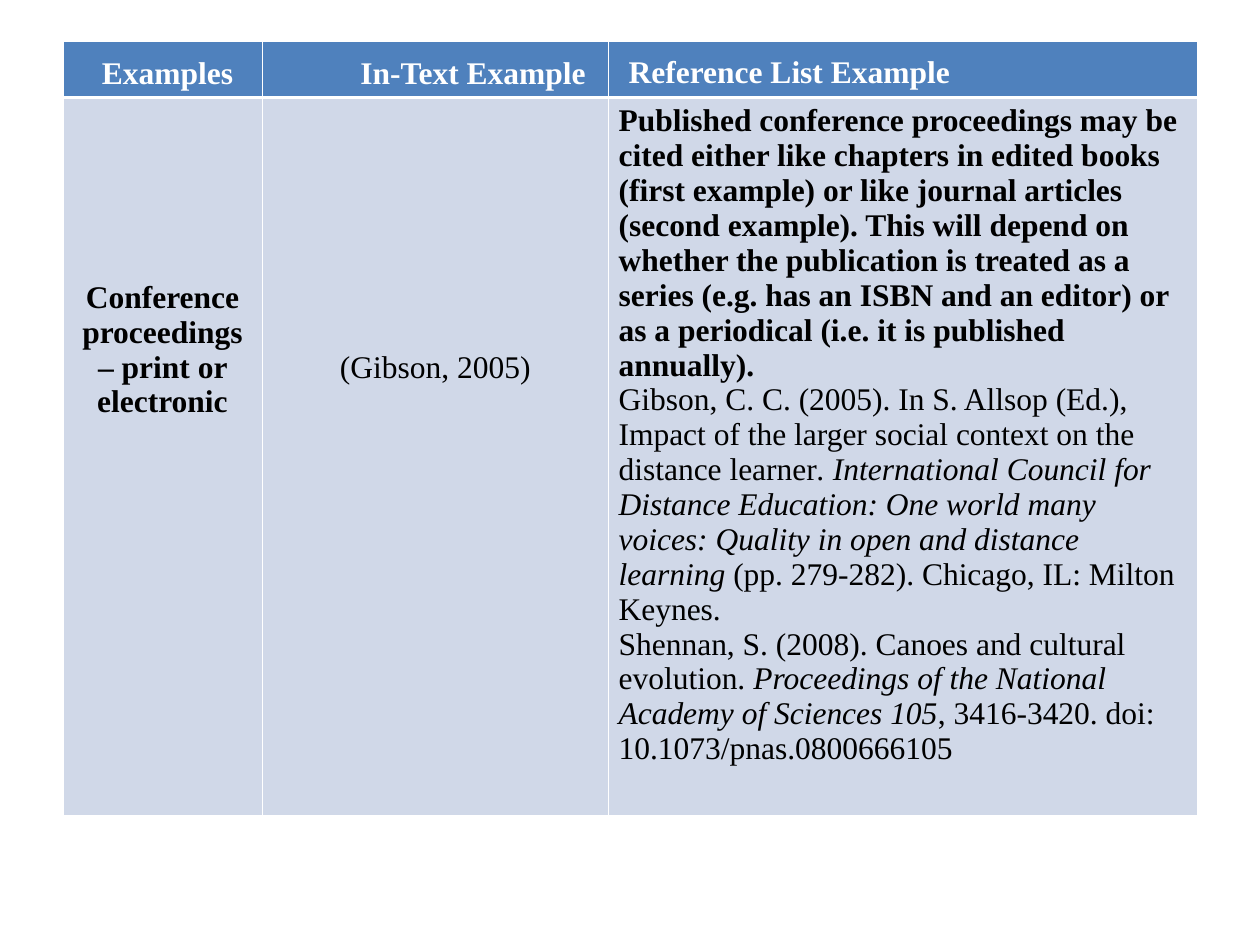
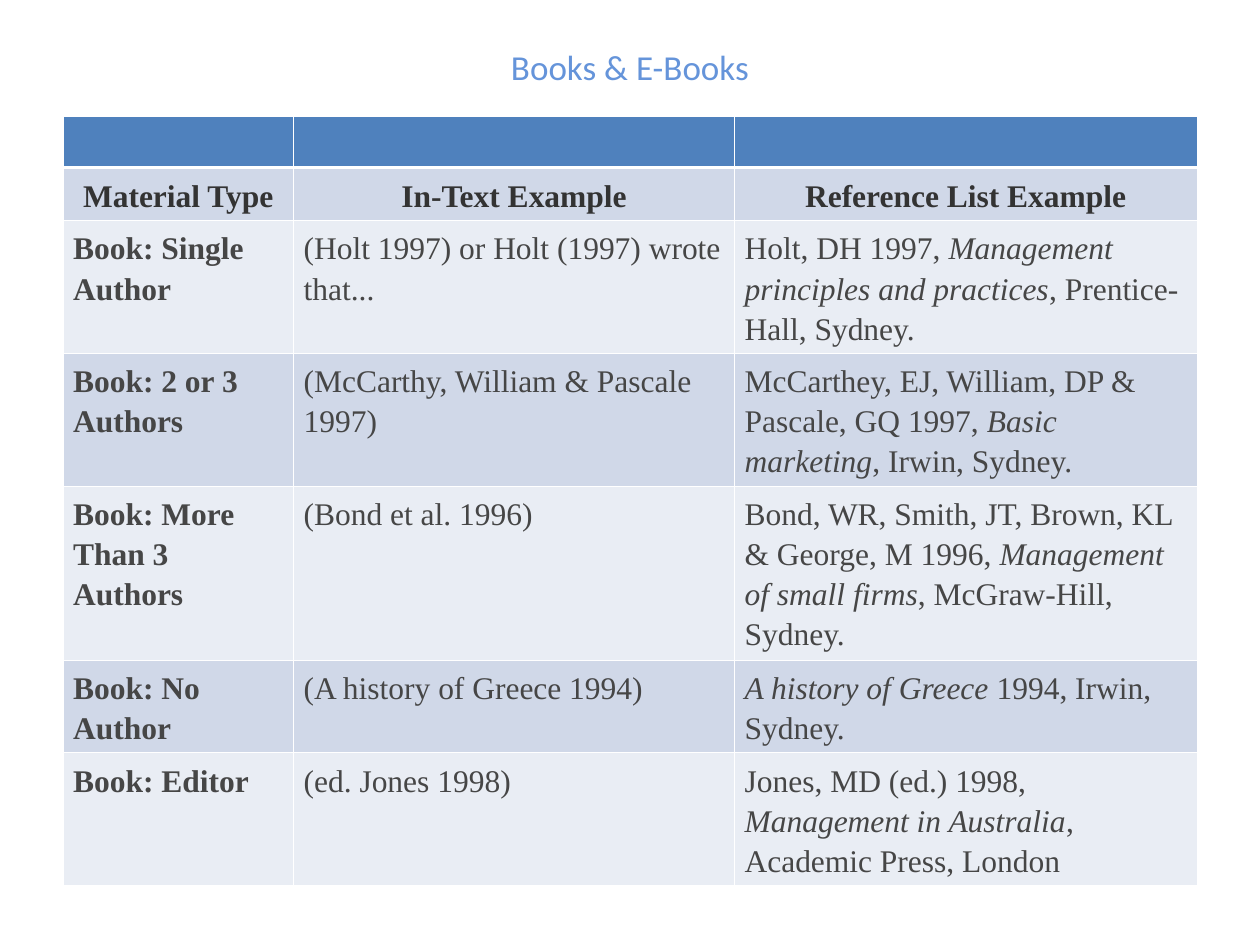
from dataclasses import dataclass

from lxml import etree
from pptx import Presentation
from pptx.dml.color import RGBColor
from pptx.enum.text import MSO_ANCHOR, PP_ALIGN
from pptx.oxml.ns import qn
from pptx.slide import Slide
from pptx.table import _Cell
from pptx.util import Inches, Pt

LEFT, CENTER = PP_ALIGN.LEFT, PP_ALIGN.CENTER
MIDDLE = MSO_ANCHOR.MIDDLE

WHITE = RGBColor(0xFF, 0xFF, 0xFF)
BLACK = RGBColor(0x00, 0x00, 0x00)
HEADER_BLUE = RGBColor(0x4F, 0x81, 0xBD)
BAND_DARK = RGBColor(0xD0, 0xD8, 0xE8)
BAND_LIGHT = RGBColor(0xE9, 0xED, 0xF4)
TITLE_BLUE = RGBColor(0x65, 0x94, 0xDA)
HEADING_GREY = RGBColor(0x33, 0x33, 0x33)
BODY_GREY = RGBColor(0x46, 0x46, 0x46)

TABLE_FONT, TITLE_FONT = "Times New Roman", "Calibri"
TEXT_SIZE = Pt(18)
TABLE_LEFT, TABLE_WIDTH = Inches(0.5), Inches(9)
SIDE_MARGIN, EDGE_MARGIN = Inches(0.08), Inches(0.05)
THIN, THICK = Pt(0.45), Pt(1.47)


@dataclass(frozen=True)
class Span:
    text: str
    bold: bool = False
    italic: bool = False


@dataclass(frozen=True)
class CellText:
    paragraphs: list[list[Span]]
    color: RGBColor = BODY_GREY
    align: PP_ALIGN = LEFT
    line_spacing: float | Pt = 1.15
    top: Inches = EDGE_MARGIN
    indent: Inches = Inches(0)


@dataclass(frozen=True)
class Grid:
    top: Inches
    columns: list[float]
    rows: list[float]


def set_borders(cell: _Cell, top: Pt, bottom: Pt) -> None:
    properties = cell._tc.get_or_add_tcPr()
    edges = [("lnL", THIN), ("lnR", THIN), ("lnT", top), ("lnB", bottom)]
    for position, (edge, width) in enumerate(edges):
        line = etree.Element(qn(f"a:{edge}"), w=str(int(width)))
        fill = etree.SubElement(line, qn("a:solidFill"))
        etree.SubElement(fill, qn("a:srgbClr"), val=str(WHITE))
        properties.insert(position, line)


def write_cell(cell: _Cell, content: CellText) -> None:
    cell.margin_left = cell.margin_right = SIDE_MARGIN
    cell.margin_top, cell.margin_bottom = content.top, EDGE_MARGIN
    frame = cell.text_frame
    for number, spans in enumerate(content.paragraphs):
        paragraph = frame.add_paragraph() if number else frame.paragraphs[0]
        paragraph.alignment = content.align
        paragraph.line_spacing = content.line_spacing
        if content.indent:
            paragraph._p.get_or_add_pPr().set("marL", str(int(content.indent)))
        for span in spans:
            run = paragraph.add_run()
            run.text = span.text
            run.font.name, run.font.size = TABLE_FONT, TEXT_SIZE
            run.font.bold, run.font.italic = span.bold, span.italic
            run.font.color.rgb = content.color


def add_reference_table(slide: Slide, grid: Grid,
                        contents: list[list[CellText]]) -> None:
    """Draw a header row over alternating bands; empty rows stay blank."""
    table = slide.shapes.add_table(
        len(grid.rows), len(grid.columns), TABLE_LEFT, grid.top,
        TABLE_WIDTH, Inches(sum(grid.rows))).table
    table.horz_banding = False
    for column, width in zip(table.columns, grid.columns):
        column.width = Inches(width)
    for number, height in enumerate(grid.rows):
        table.rows[number].height = Inches(height)
        band = BAND_DARK if number % 2 else BAND_LIGHT
        for cell in table.rows[number].cells:
            cell.fill.solid()
            cell.fill.fore_color.rgb = band if number else HEADER_BLUE
            set_borders(cell, THICK if number == 1 else THIN,
                        THIN if number else THICK)
        for cell, content in zip(table.rows[number].cells, contents[number]):
            write_cell(cell, content)


def conference_heading(text: str, align: PP_ALIGN, spacing: float,
                       indent: float) -> CellText:
    return CellText([[Span(text, bold=True)]], WHITE, align, Pt(spacing),
                    Inches(0.22), Inches(indent))


def book_heading(text: str) -> CellText:
    return CellText([[Span(text, bold=True)]], HEADING_GREY, CENTER)


def book_row(material: str, in_text: str,
             reference: list[Span]) -> list[CellText]:
    return [CellText([[Span(material, bold=True)]]),
            CellText([[Span(in_text)]]), CellText([reference])]


# Conference proceedings
CONFERENCE_GRID = Grid(Inches(0.33), [1.58, 2.75, 4.67], [0.44, 5.7])
CONFERENCE_REFERENCES = [
    [Span("Published conference proceedings may be cited either like chapters "
          "in edited books (first example) or like journal articles (second "
          "example). This will depend on whether the publication is treated "
          "as a series (e.g. has an ISBN and an editor) or as a periodical "
          "(i.e. it is published annually).", bold=True)],
    [Span("Gibson, C. C. (2005). In S. Allsop (Ed.), Impact of the larger "
          "social context on the distance learner"),
     Span(". International Council for Distance Education: One world many "
          "voices: Quality in open and distance learning ", italic=True),
     Span("(pp. 279-282). Chicago, IL: Milton Keynes.")],
    [Span("Shennan, S. (2008). Canoes and cultural evolution. "),
     Span("Proceedings of the National Academy of Sciences 105", italic=True),
     Span(", 3416-3420. doi: 10.1073/pnas.0800666105")],
]
CONFERENCE_CONTENTS = [
    [conference_heading("Examples", CENTER, 12.5, 0.08),
     conference_heading("In-Text Example", LEFT, 12.5, 0.7),
     conference_heading("Reference List Example", LEFT, 12, 0.08)],
    [CellText([[Span("Conference proceedings – print or electronic",
                     bold=True)]], BLACK, CENTER, 1.0, Inches(1.45)),
     CellText([[Span("(Gibson, 2005)")]], BLACK, CENTER, 1.0, Inches(2.01)),
     CellText(CONFERENCE_REFERENCES, BLACK, line_spacing=1.0)],
]

# Books and e-books
BOOK_GRID = Grid(Inches(0.92), [1.83, 3.5, 3.67],
                 [0.41, 0.4, 1.03, 1.04, 1.38, 0.69, 1.03])
BOOK_CONTENTS = [
    [],
    [book_heading(text) for text in
     ("Material Type", "In-Text Example", "Reference List Example")],
    book_row("Book: Single Author", "(Holt 1997) or Holt (1997) wrote that...",
             [Span("Holt, DH 1997, "),
              Span("Management principles and practices", italic=True),
              Span(", Prentice-Hall, Sydney.")]),
    book_row("Book: 2 or 3 Authors", "(McCarthy, William & Pascale 1997)",
             [Span("McCarthey, EJ, William, DP & Pascale, GQ 1997, "),
              Span("Basic marketing", italic=True),
              Span(", Irwin, Sydney.")]),
    book_row("Book: More Than 3 Authors", "(Bond et al. 1996)",
             [Span("Bond, WR, Smith, JT, Brown, KL & George, M 1996, "),
              Span("Management of small firms", italic=True),
              Span(", McGraw-Hill, Sydney.")]),
    book_row("Book: No Author", "(A history of Greece 1994)",
             [Span("A history of Greece ", italic=True),
              Span("1994, Irwin, Sydney.")]),
    book_row("Book: Editor", "(ed. Jones 1998)",
             [Span("Jones, MD (ed.) 1998, "),
              Span("Management in Australia", italic=True),
              Span(", Academic Press, London")]),
]


def add_title(slide: Slide, text: str) -> None:
    title = slide.shapes.title
    title.left, title.top = TABLE_LEFT, Inches(0.3)
    title.width, title.height = TABLE_WIDTH, Inches(0.45)
    title.text_frame.vertical_anchor = MIDDLE
    paragraph = title.text_frame.paragraphs[0]
    paragraph.alignment = CENTER
    run = paragraph.add_run()
    run.text = text
    run.font.name, run.font.size = TITLE_FONT, Pt(20)
    run.font.color.rgb = TITLE_BLUE


def main() -> None:
    deck = Presentation()
    deck.slide_width, deck.slide_height = Inches(10), Inches(7.5)
    title_only, blank = deck.slide_layouts[5], deck.slide_layouts[6]

    conference = deck.slides.add_slide(blank)
    add_reference_table(conference, CONFERENCE_GRID, CONFERENCE_CONTENTS)

    books = deck.slides.add_slide(title_only)
    add_title(books, "Books & E-Books")
    add_reference_table(books, BOOK_GRID, BOOK_CONTENTS)

    deck.save("out.pptx")


if __name__ == "__main__":
    main()
